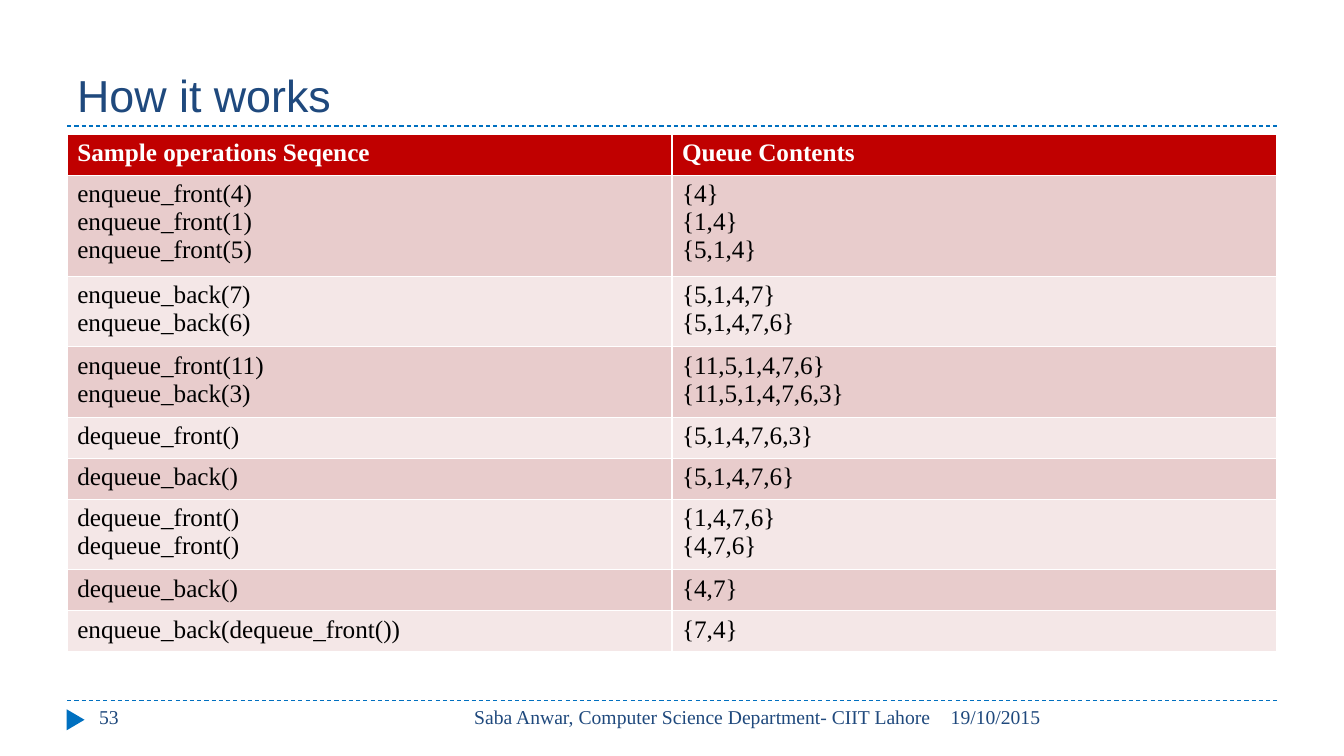
from pptx import Presentation
from pptx.dml.color import RGBColor
from pptx.enum.dml import MSO_LINE
from pptx.enum.shapes import MSO_CONNECTOR, MSO_SHAPE
from pptx.enum.text import MSO_ANCHOR, PP_ALIGN
from pptx.oxml.ns import qn
from pptx.util import Pt
from lxml.etree import SubElement

PX = 9525
BLUE = RGBColor(0x00, 0x70, 0xC0)
NAVY = RGBColor(0x1F, 0x49, 0x7D)
RED = RGBColor(0xC0, 0x00, 0x00)
ROSE = RGBColor(0xE8, 0xCC, 0xCC)
PALE = RGBColor(0xF4, 0xE7, 0xE7)
WHITE = RGBColor(0xFF, 0xFF, 0xFF)
BLACK = RGBColor(0x00, 0x00, 0x00)
SERIF = "Times New Roman"

deck = Presentation()
deck.slide_width, deck.slide_height = 1280 * PX, 720 * PX
slide = deck.slides.add_slide(deck.slide_layouts[6])
shapes = slide.shapes


def style(para, face, size, color, bold=False):
    font = para.font
    font.name, font.size, font.bold = face, Pt(size), bold
    font.color.rgb = color


def label(text, box, face, size, align=PP_ALIGN.LEFT, anchor=MSO_ANCHOR.TOP):
    frame = shapes.add_textbox(*[n * PX for n in box]).text_frame
    frame.word_wrap = True
    frame.vertical_anchor = anchor
    frame.text = text
    para = frame.paragraphs[0]
    para.alignment = align
    style(para, face, size, NAVY)


for y in (667, 120):
    rule = shapes.add_connector(
        MSO_CONNECTOR.STRAIGHT, 64 * PX, y * PX, 1216 * PX, y * PX)
    rule.line.color.rgb = BLUE
    rule.line.width = Pt(0.75)
    rule.line.dash_style = MSO_LINE.DASH
    SubElement(rule._element.spPr, qn("a:effectLst"))

mark = shapes.add_shape(
    MSO_SHAPE.ISOSCELES_TRIANGLE, 62 * PX, 677 * PX, 20 * PX, 17 * PX)
mark.rotation = 90
mark.shadow.inherit = False
mark.fill.solid()
mark.fill.fore_color.rgb = BLUE
mark.line.fill.background()

label("How it works", (64, 16, 1152, 104), "Arial", 32, anchor=MSO_ANCHOR.BOTTOM)
label("19/10/2015", (896, 667, 320, 38), SERIF, 14)
label("Saba Anwar, Computer Science Department- CIIT Lahore",
      (406, 667, 490, 38), SERIF, 14, PP_ALIGN.RIGHT)
label("53", (85, 667, 277, 38), SERIF, 14)

rows = [
    ("Sample operations Seqence", "Queue Contents"),
    ("enqueue_front(4)\nenqueue_front(1)\nenqueue_front(5)", "{4}\n{1,4}\n{5,1,4}"),
    ("enqueue_back(7)\nenqueue_back(6)", "{5,1,4,7}\n{5,1,4,7,6}"),
    ("enqueue_front(11)\nenqueue_back(3)", "{11,5,1,4,7,6}\n{11,5,1,4,7,6,3}"),
    ("dequeue_front()", "{5,1,4,7,6,3}"),
    ("dequeue_back()", "{5,1,4,7,6}"),
    ("dequeue_front()\ndequeue_front()", "{1,4,7,6}\n{4,7,6}"),
    ("dequeue_back()", "{4,7}"),
    ("enqueue_back(dequeue_front())", "{7,4}"),
]
table = shapes.add_table(
    len(rows), 2, 64 * PX, 128 * PX, 1152 * PX, len(rows) * 39 * PX).table
for i, row in enumerate(rows):
    head = i == 0
    for j, text in enumerate(row):
        cell = table.cell(i, j)
        cell.fill.solid()
        cell.fill.fore_color.rgb = RED if head else ROSE if i % 2 else PALE
        cell.text = text
        for para in cell.text_frame.paragraphs:
            style(para, SERIF, 18, WHITE if head else BLACK, head)

deck.save("out.pptx")
